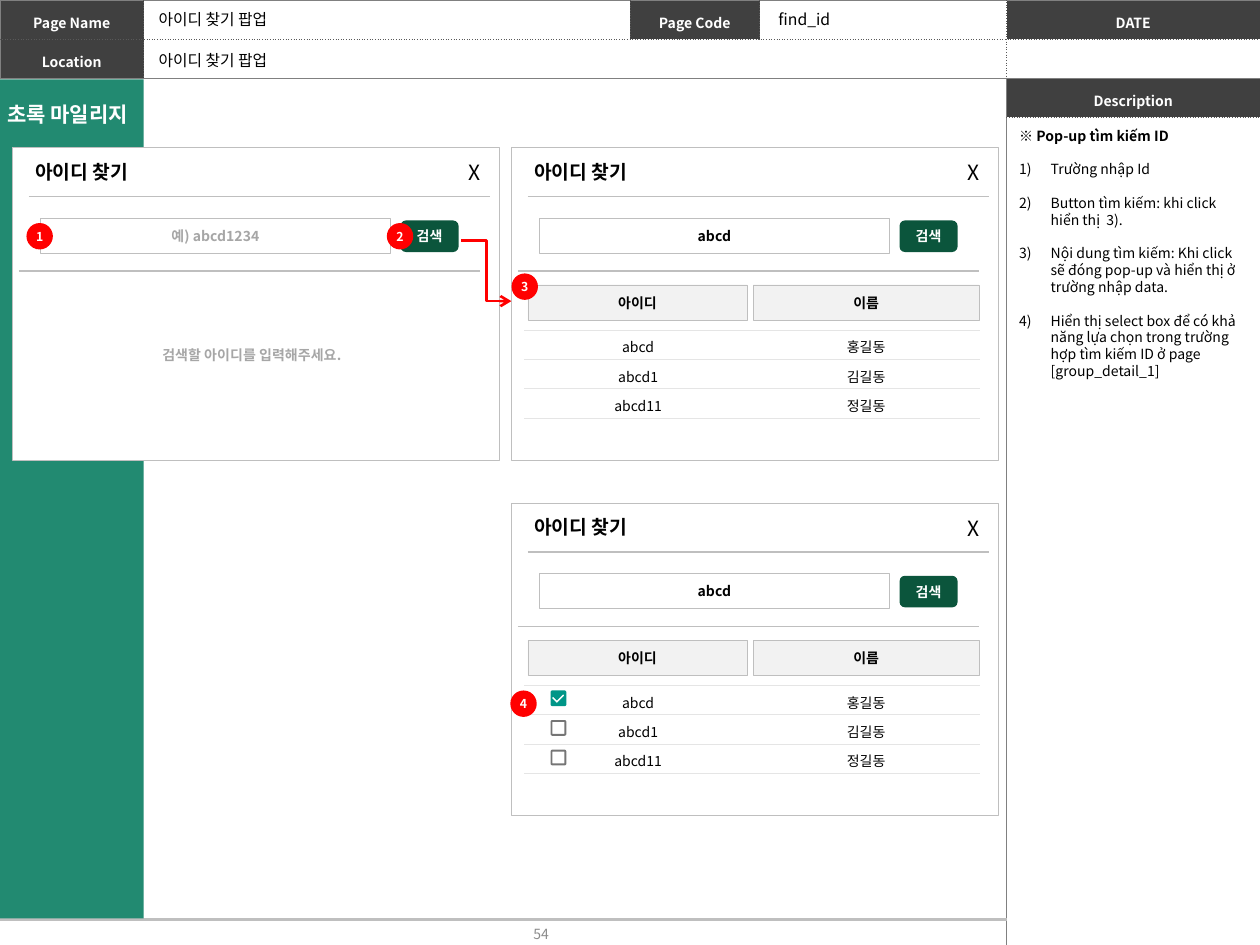
import dataclasses
import math

import lxml.etree
import pptx
import pptx.dml.color
import pptx.enum.shapes
import pptx.enum.text
import pptx.oxml.ns
import pptx.util

Inches = pptx.util.Inches
Pt = pptx.util.Pt
Shape = pptx.enum.shapes.MSO_SHAPE
Connector = pptx.enum.shapes.MSO_CONNECTOR
Align = pptx.enum.text.PP_ALIGN
Anchor = pptx.enum.text.MSO_ANCHOR
qn = pptx.oxml.ns.qn


@dataclasses.dataclass(frozen=True)
class Theme:
    font: str = "Noto Sans CJK KR"
    black: str = "000000"
    white: str = "FFFFFF"
    dark: str = "404040"
    edge: str = "808080"
    dotted: str = "595959"
    border: str = "BFBFBF"
    rule: str = "E5E5E5"
    pale: str = "F2F2F2"
    hint: str = "A6A6A6"
    number: str = "8C8C8C"
    sidebar: str = "228A71"
    button: str = "0B553C"
    check: str = "009688"
    red: str = "FF0000"
    badge: float = 7
    body: float = 8
    field: float = 9
    title: float = 11
    large: float = 12


@dataclasses.dataclass(frozen=True)
class Box:
    left: float
    top: float
    width: float
    height: float

    def inner(self, left, top, width, height):
        return Box(self.left + left, self.top + top, width, height)

    def lengths(self):
        return [Inches(value) for value in (self.left, self.top, self.width, self.height)]


THEME = Theme()
MEMBERS = [("abcd", "홍길동"), ("abcd1", "김길동"), ("abcd11", "정길동")]
NOTES = [
    "Trường nhập Id",
    "Button tìm kiếm: khi click hiển thị  3).",
    "Nội dung tìm kiếm: Khi click sẽ đóng pop-up và hiển thị ở trường nhập data.",
    "Hiển thị select box để có khả năng lựa chọn trong trường hợp tìm kiếm ID ở page [group_detail_1]",
]


def rgb(color):
    return pptx.dml.color.RGBColor.from_string(color)


def add_span(para, text, size=THEME.body, color=THEME.black, bold=False):
    span = para.add_run()
    span.text = text
    span.font.size, span.font.bold = Pt(size), bold
    span.font.color.rgb = rgb(color)
    span.font.name = THEME.font
    lxml.etree.SubElement(span.font._element, qn("a:ea"), typeface=THEME.font)


def add_label(page, box, text, size=THEME.body, color=THEME.black, bold=False):
    label = page.shapes.add_textbox(*box.lengths())
    label.text_frame.word_wrap = False
    add_span(label.text_frame.paragraphs[0], text, size, color, bold)
    return label


def paint(shape, fill, line):
    shape.shadow.inherit = False
    if fill:
        shape.fill.solid()
        shape.fill.fore_color.rgb = rgb(fill)
    else:
        shape.fill.background()
    if line:
        shape.line.color.rgb = rgb(line)
        shape.line.width = Pt(0.25)
    else:
        shape.line.fill.background()


def add_block(page, kind, box, fill=None, line=None, text="", size=THEME.body, color=THEME.black):
    shape = page.shapes.add_shape(kind, *box.lengths())
    paint(shape, fill, line)
    if text:
        shape.text_frame.vertical_anchor = Anchor.MIDDLE
        para = shape.text_frame.paragraphs[0]
        para.alignment = Align.CENTER
        add_span(para, text, size, color, True)
    return shape


def add_line(page, start, end, color, width, kind=Connector.STRAIGHT):
    line = page.shapes.add_connector(kind, *[Inches(value) for value in (*start, *end)])
    line.line.color.rgb = rgb(color)
    line.line.width = Pt(width)
    lxml.etree.SubElement(line._element.spPr, qn("a:effectLst"))
    return line


def add_grid(page, box, columns, rows):
    table = page.shapes.add_table(len(rows), len(columns), *box.lengths()).table
    table.first_row = table.horz_banding = False
    for column, width in zip(table.columns, columns):
        column.width = Inches(width)
    for row, height in zip(table.rows, rows):
        row.height = Inches(height)
    return table


def style_cell(cell, borders, fill, text, margins, color, bold, spacing):
    properties = cell._tc.get_or_add_tcPr()
    for side, border in zip("LRTB", borders):
        line = lxml.etree.SubElement(properties, qn("a:ln" + side))
        if border:
            tone, width, dash = border
            line.set("w", str(Pt(width)))
            solid = lxml.etree.SubElement(line, qn("a:solidFill"))
            lxml.etree.SubElement(solid, qn("a:srgbClr"), val=tone)
            lxml.etree.SubElement(line, qn("a:prstDash"), val=dash)
        else:
            lxml.etree.SubElement(line, qn("a:noFill"))
    if fill:
        cell.fill.solid()
        cell.fill.fore_color.rgb = rgb(fill)
    else:
        cell.fill.background()
    cell.margin_top, cell.margin_bottom = [Inches(margin) for margin in margins]
    cell.vertical_anchor = Anchor.MIDDLE
    para = cell.text_frame.paragraphs[0]
    para.alignment, para.line_spacing = Align.CENTER, spacing
    if text:
        add_span(para, text, THEME.body, color, bold)
    else:
        lxml.etree.SubElement(para._p, qn("a:endParaRPr"), sz=str(THEME.body * 100))


def place_frame(page, box, columns, rows, labels):
    table = add_grid(page, box, columns, rows)
    edge, dotted = (THEME.edge, 0.5, "solid"), (THEME.dotted, 0.5, "sysDot")
    for y in range(len(rows)):
        for x in range(len(columns)):
            outer = (x == 0, x == len(columns) - 1, y == 0, y == len(rows) - 1)
            borders = [edge if side else dotted for side in outer]
            text = labels.get((y, x), "")
            style_cell(table.cell(y, x), borders, THEME.dark if text else None, text,
                       (0.04, 0.04), THEME.white, True, 1.3)
    return table


def place_header(page, box):
    labels = {(0, 0): "Page Name", (0, 2): "Page Code", (0, 4): "DATE", (1, 0): "Location"}
    table = place_frame(page, box, [1.14, 3.86, 1.03, 1.96, 2.01], [box.height / 2] * 2, labels)
    table.cell(1, 1).merge(table.cell(1, 3))
    for left, top, width, text in [(1.16, 0.03, 1.11, "아이디 찾기 팝업"), (6.08, 0.03, 0.62, "find_id"),
                                   (1.16, 0.35, 1.11, "아이디 찾기 팝업")]:
        add_label(page, box.inner(left, top, width, 0.25), text, THEME.field)


def place_description(page, box):
    place_frame(page, box, [box.width], [0.31, box.height - 0.31], {(0, 0): "Description"})
    label = add_label(page, box.inner(0, 0.34, box.width, 2.39), "※ Pop-up tìm kiếm ID", bold=True)
    frame = label.text_frame
    frame.word_wrap = True
    for note in NOTES:
        para = frame.add_paragraph()
        para.space_before = Pt(9.6)
        add_span(para, note)
        properties = para._p.get_or_add_pPr()
        properties.set("marL", str(Inches(0.25)))
        properties.set("indent", str(-Inches(0.25)))
        lxml.etree.SubElement(properties, qn("a:buFont"), typeface="+mj-lt")
        lxml.etree.SubElement(properties, qn("a:buAutoNum"), type="arabicParenR")
    for para in frame.paragraphs:
        para.line_spacing = Pt(9.6)


def place_sidebar(page, box):
    add_block(page, Shape.RECTANGLE, box, THEME.sidebar)
    add_label(page, box.inner(-0.04, 0.13, 1.2, 0.3), "초록 마일리지", THEME.large, THEME.white, True)


def place_footer(page, box):
    add_line(page, (box.left, box.top), (box.left + box.width, box.top), THEME.border, 1.5)
    label = add_label(page, box.inner(3.13, -0.09, 2.33, 0.4), "54", color=THEME.number)
    label.text_frame.vertical_anchor = Anchor.MIDDLE
    label.text_frame.paragraphs[0].alignment = Align.CENTER


def place_popup(page, box, query, query_color):
    add_block(page, Shape.RECTANGLE, box, THEME.white, THEME.border)
    for left, top in [(0.13, 0.39), (0.05, 0.98)]:
        start = box.inner(left, top, 3.66, 0)
        add_line(page, (start.left, start.top), (start.left + start.width, start.top), THEME.border, 0.75)
    add_label(page, box.inner(0.08, 0.05, 0.97, 0.29), "아이디 찾기", THEME.title, bold=True)
    add_label(page, box.inner(3.52, 0.05, 0.31, 0.3), "X", THEME.large)
    add_block(page, Shape.RECTANGLE, box.inner(0.22, 0.56, 2.78, 0.28), None, THEME.border,
              query, color=query_color)
    add_block(page, Shape.ROUNDED_RECTANGLE, box.inner(3.08, 0.58, 0.46, 0.25), THEME.button,
              text="검색", color=THEME.white)


def place_results(page, box):
    for left, width, text in [(0.13, 1.74, "아이디"), (1.92, 1.79, "이름")]:
        add_block(page, Shape.RECTANGLE, box.inner(left, 1.09, width, 0.28), THEME.pale, THEME.border, text)
    table = add_grid(page, box.inner(0.1, 1.45, 3.62, 0.7), [1.81] * 2, [0.7 / 3] * 3)
    rule = (THEME.rule, 0.75, "solid")
    for y, member in enumerate(MEMBERS):
        for x, text in enumerate(member):
            style_cell(table.cell(y, x), (None, None, rule, rule), THEME.white, text,
                       (0.05, 0.02), THEME.black, False, 1.0)


def place_checkbox(page, box, checked):
    side, radius = box.width, 0.015
    corners = [(side - radius, side - radius), (radius, side - radius), (radius, radius), (side - radius, radius)]
    outline = [(x + radius * math.cos(math.radians(90 * turn + step)),
                y + radius * math.sin(math.radians(90 * turn + step)))
               for turn, (x, y) in enumerate(corners) for step in range(0, 91, 15)]
    tick = [(0.05, 0.1), (0.01, 0.06), (0.02, 0.05), (0.05, 0.08), (0.1, 0.03), (0.11, 0.04)]
    low, high = 0.015, side - 0.015
    square = [(low, low), (high, low), (high, high), (low, high)]
    contours = [[(Inches(box.left + x), Inches(box.top + y)) for x, y in points]
                for points in (outline, tick if checked else square)]
    builder = page.shapes.build_freeform(*contours[0][0])
    builder.add_line_segments(contours[0][1:])
    builder.move_to(*contours[1][0])
    builder.add_line_segments(contours[1][1:])
    shape = builder.convert_to_shape()
    paint(shape, THEME.check if checked else THEME.black, None)
    if not checked:
        color = shape._element.spPr.find(qn("a:solidFill"))[0]
        lxml.etree.SubElement(color, qn("a:alpha"), val="54000")


def place_badge(page, box, text):
    frame = add_block(page, Shape.OVAL, box, THEME.red, text=text, size=THEME.badge,
                      color=THEME.white).text_frame
    frame.margin_left = frame.margin_right = frame.margin_top = frame.margin_bottom = 0


def main():
    deck = pptx.Presentation()
    deck.slide_width, deck.slide_height = Inches(10), Inches(7.5)
    page = deck.slides.add_slide(deck.slide_layouts[6])
    place_header(page, Box(0, 0, 10, 0.62))
    place_description(page, Box(7.99, 0.62, 2.01, 6.88))
    place_footer(page, Box(0, 7.3, 7.99, 0.2))
    place_sidebar(page, Box(0, 0.63, 1.14, 6.66))

    search, found, select = [Box(left, top, 3.86, 2.48) for left, top in [(0.1, 1.17), (4.06, 1.17), (4.06, 3.99)]]
    place_popup(page, search, "예) abcd1234", THEME.hint)
    add_label(page, search.inner(1.09, 1.53, 1.67, 0.24), "검색할 아이디를 입력해주세요.", color=THEME.hint, bold=True)
    for box in (found, select):
        place_popup(page, box, "abcd", THEME.black)
        place_results(page, box)
    for index in range(len(MEMBERS)):
        place_checkbox(page, select.inner(0.31, 1.49 + index * 0.235, 0.125, 0.125), index == 0)

    arrow = add_line(page, (3.66, 1.91), (4.06, 2.39), THEME.red, 1.5, Connector.ELBOW)
    lxml.etree.SubElement(arrow.line._get_or_add_ln(), qn("a:tailEnd"), type="arrow")
    badges = [(search, 0.11, 0.6), (search, 2.97, 0.6), (found, 0, 1), (select, -0.01, 1.49)]
    for number, (box, left, top) in enumerate(badges, 1):
        place_badge(page, box.inner(left, top, 0.21, 0.21), str(number))
    deck.save("out.pptx")


if __name__ == "__main__":
    main()
